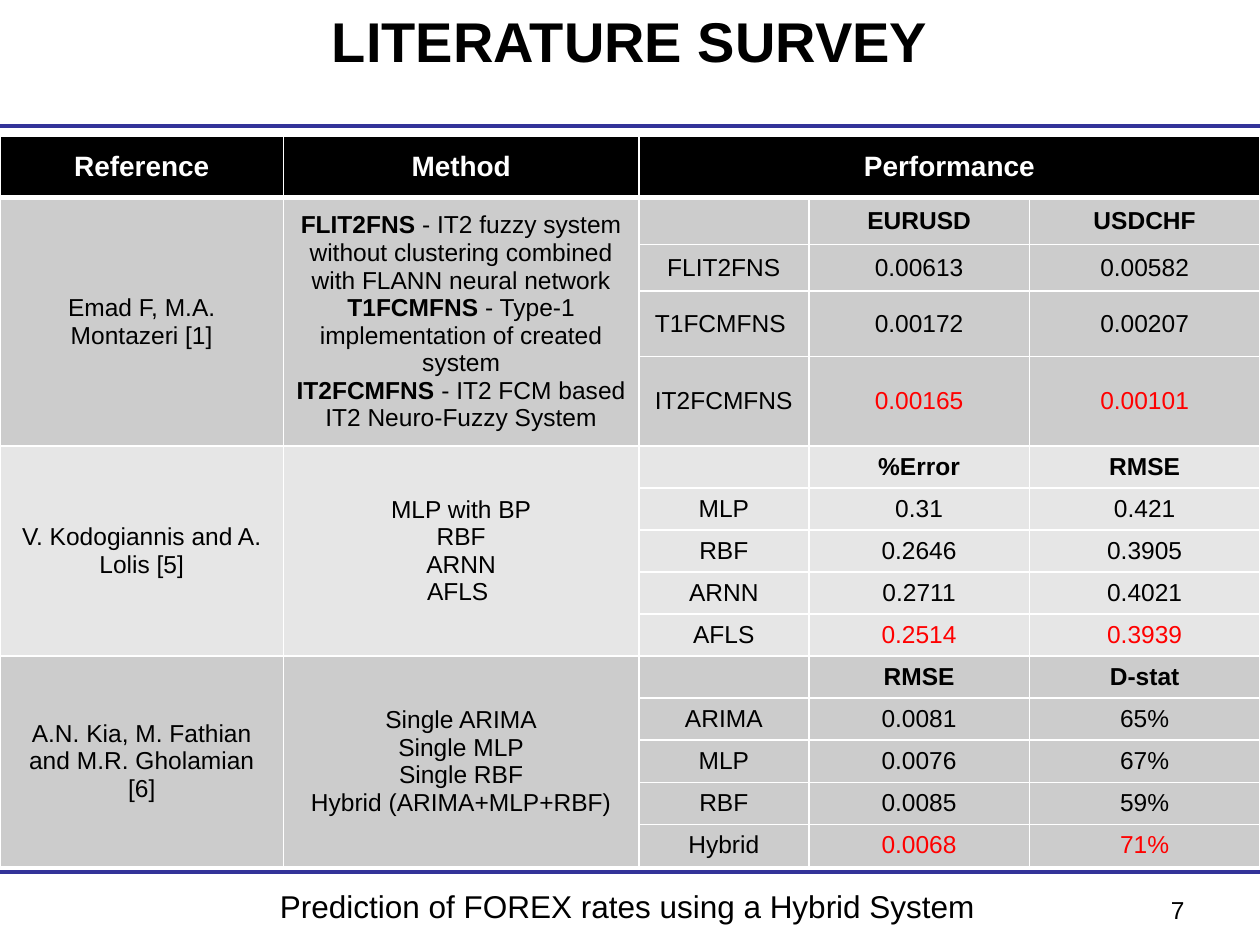
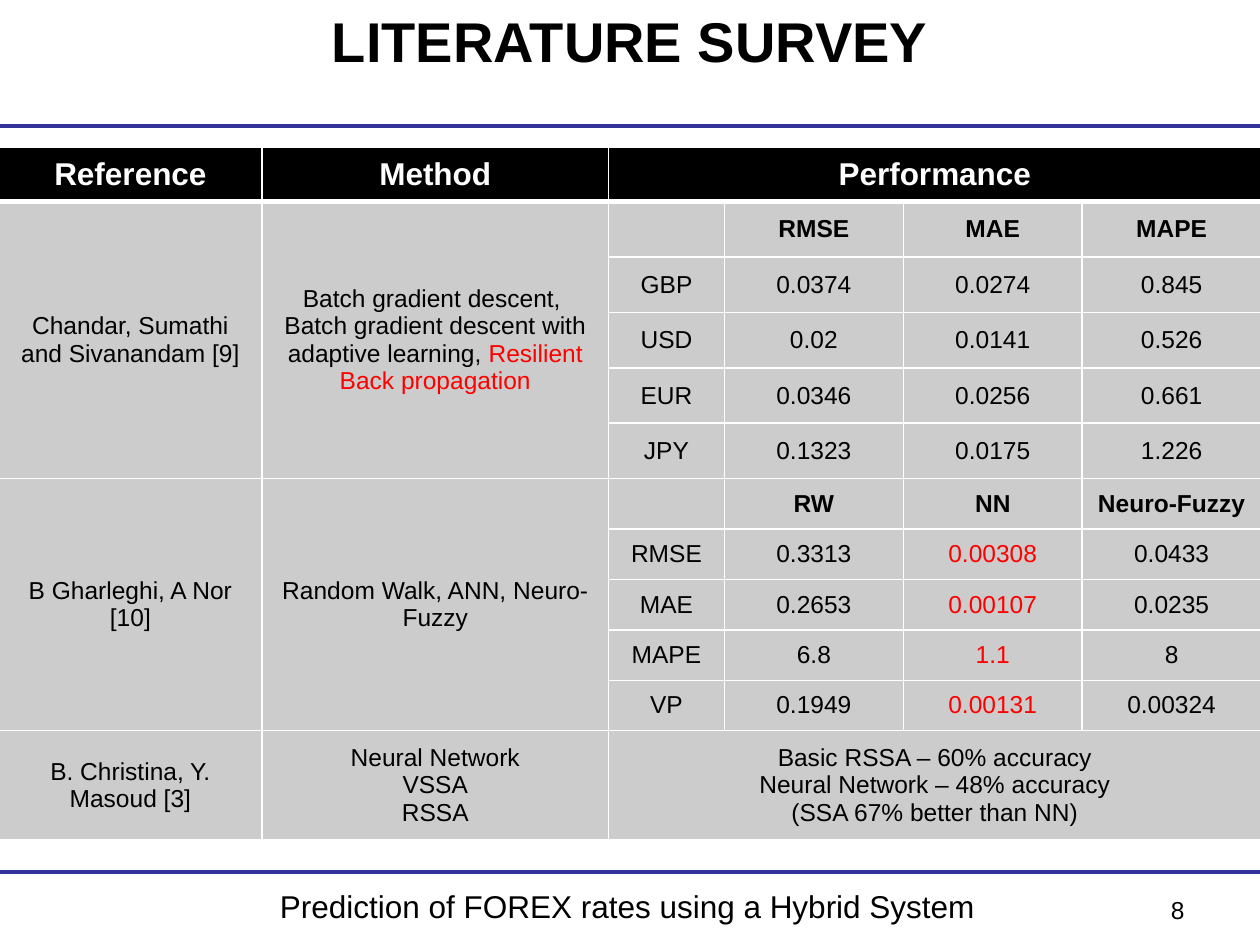
from dataclasses import dataclass

from lxml import etree
from pptx import Presentation
from pptx.dml.color import RGBColor
from pptx.enum.shapes import MSO_CONNECTOR
from pptx.enum.text import MSO_ANCHOR, PP_ALIGN
from pptx.oxml.ns import qn
from pptx.util import Inches, Pt

STRAIGHT = MSO_CONNECTOR.STRAIGHT
TOP, MIDDLE = MSO_ANCHOR.TOP, MSO_ANCHOR.MIDDLE
CENTER, RIGHT = PP_ALIGN.CENTER, PP_ALIGN.RIGHT

SLIDE_WIDTH, SLIDE_HEIGHT = 10, 7.5
FONT = "Arial"
BLACK, WHITE, RED, RULE = "000000", "FFFFFF", "FF0000", "333399"
DARK_BAND, LIGHT_BAND = "CCCCCC", "E6E6E6"
RULE_HEIGHTS = (1, 6.92)
BODY_SIZE = 14
HEADINGS = ("Reference", "Method", "Performance")
PERFORMANCE_COLUMN = 2


@dataclass
class Study:
    reference: str
    method: object
    performance: list
    fill: str = DARK_BAND
    best_row: int = None
    best_column: int = None


def color_of(hex_string):
    return RGBColor.from_string(hex_string)


def bold(text):
    return text, {"bold": True}


def red(text):
    return text, {"color": RED}


def as_paragraphs(content):
    if isinstance(content, str):
        return [[line] for line in content.split("\n")]
    return content


def write_text(frame, content, size=BODY_SIZE, color=BLACK, bold=False, align=CENTER):
    frame.word_wrap = True
    for index, runs in enumerate(as_paragraphs(content)):
        paragraph = frame.add_paragraph() if index else frame.paragraphs[0]
        paragraph.alignment = align
        for item in runs:
            text, changes = (item, {}) if isinstance(item, str) else item
            if text == "\n":
                paragraph.add_line_break()
                continue
            if not text:
                continue
            look = {"color": color, "bold": bold, **changes}
            run = paragraph.add_run()
            run.text = text
            run.font.name = FONT
            run.font.size = Pt(size)
            run.font.bold = look["bold"]
            run.font.color.rgb = color_of(look["color"])
        ending = etree.SubElement(paragraph._p, qn("a:endParaRPr"), sz=str(size * 100))
        etree.SubElement(ending, qn("a:latin"), typeface=FONT)


def add_text(slide, text, left, top, width, height, anchor=TOP, **look):
    box = slide.shapes.add_textbox(*map(Inches, (left, top, width, height)))
    box.text_frame.vertical_anchor = anchor
    write_text(box.text_frame, text, **look)


def add_rule(slide, height):
    rule = slide.shapes.add_connector(
        STRAIGHT, 0, Inches(height), Inches(SLIDE_WIDTH), Inches(height))
    rule.line.color.rgb = color_of(RULE)
    rule.line.width = Pt(2.25)
    etree.SubElement(rule._element.spPr, qn("a:effectLst"))


def set_border(cell, side, width):
    properties = cell._tc.get_or_add_tcPr()
    line = etree.SubElement(properties, qn(f"a:ln{side}"), w=str(Pt(width)))
    fill = etree.SubElement(line, qn("a:solidFill"))
    etree.SubElement(fill, qn("a:srgbClr"), val=WHITE)


def fill_cell(cell, content, fill, top_border=1, bottom_border=1, **look):
    for side, width in zip("LRTB", (1, 1, top_border, bottom_border)):
        set_border(cell, side, width)
    cell.fill.solid()
    cell.fill.fore_color.rgb = color_of(fill)
    cell.vertical_anchor = MIDDLE
    write_text(cell.text_frame, content, **look)


def merge(table, first, last):
    if first != last:
        table.cell(*first).merge(table.cell(*last))


def fill_header(table, size):
    last_column = len(table.columns) - 1
    for column in range(last_column + 1):
        text = HEADINGS[column] if column < len(HEADINGS) else ""
        fill_cell(table.cell(0, column), text, BLACK, bottom_border=3,
                  size=size, color=WHITE, bold=True)
    merge(table, (0, PERFORMANCE_COLUMN), (0, last_column))


def fill_study(table, first_row, study):
    last_column = len(table.columns) - 1
    last_row = first_row + len(study.performance) - 1
    for offset, values in enumerate(study.performance):
        row = first_row + offset
        labels = [study.reference, study.method] if offset == 0 else ["", ""]
        contents = labels + values
        contents += [""] * (last_column + 1 - len(contents))
        for column, content in enumerate(contents):
            position = column - PERFORMANCE_COLUMN
            is_value = offset > 0 and position > 0
            is_best = is_value and (offset == study.best_row or position == study.best_column)
            is_metric = offset == 0 and position > 0
            fill_cell(table.cell(row, column), content, study.fill,
                      top_border=3 if row == 1 else 1,
                      color=RED if is_best else BLACK, bold=is_metric)
    for column in range(PERFORMANCE_COLUMN):
        merge(table, (first_row, column), (last_row, column))
    if len(study.performance[0]) == 1:
        merge(table, (first_row, PERFORMANCE_COLUMN), (last_row, last_column))
    return last_row + 1


def add_survey_table(slide, left, top, columns, rows, studies, header_size):
    frame = slide.shapes.add_table(
        len(rows), len(columns),
        *map(Inches, (left, top, sum(columns), sum(rows))))
    table = frame.table
    table.horz_banding = False
    for column, width in zip(table.columns, columns):
        column.width = Inches(width)
    for row, height in zip(table.rows, rows):
        row.height = Inches(height)
    fill_header(table, header_size)
    next_row = 1
    for study in studies:
        next_row = fill_study(table, next_row, study)


def add_survey_slide(presentation, number, **survey):
    slide = presentation.slides.add_slide(presentation.slide_layouts[6])
    for height in RULE_HEIGHTS:
        add_rule(slide, height)
    add_text(slide, "Prediction of FOREX rates using a Hybrid System",
             1.3, 6.99, 7.36, 0.45, size=18)
    add_text(slide, "LITERATURE SURVEY", 0.5, -0.03, 9, 0.7,
             anchor=MIDDLE, size=32, bold=True)
    add_text(slide, str(number), 7.17, 7.05, 2.33, 0.45, align=RIGHT)
    add_survey_table(slide, **survey)


FUZZY_METHODS = [
    [bold("FLIT2FNS"),
     " - IT2 fuzzy system without clustering combined with FLANN neural network"],
    [bold("T1FCMFNS"), " - Type-1 implementation of created system", "\n",
     bold("IT2FCMFNS"), " - IT2 FCM based IT2 Neuro-Fuzzy System"],
]

DESCENT_METHODS = [
    ["Batch gradient descent, "],
    ["Batch gradient descent with adaptive learning, ", red("Resilient Back propagation")],
]

HYBRID_STUDIES = [
    Study("Emad F, M.A. Montazeri [1]", FUZZY_METHODS, [
        ["", "EURUSD", "USDCHF"],
        ["FLIT2FNS", "0.00613", "0.00582"],
        ["T1FCMFNS ", "0.00172", "0.00207"],
        ["IT2FCMFNS", "0.00165", "0.00101"],
    ], best_row=3),
    Study("V. Kodogiannis and A. Lolis [5]", "MLP with BP\nRBF\nARNN\nAFLS ", [
        ["", "%Error", "RMSE"],
        ["MLP", "0.31", "0.421"],
        ["RBF", "0.2646", "0.3905"],
        ["ARNN", "0.2711", "0.4021"],
        ["AFLS", "0.2514", "0.3939"],
    ], fill=LIGHT_BAND, best_row=4),
    Study("A.N. Kia, M. Fathian and M.R. Gholamian [6]",
          "Single ARIMA\nSingle MLP\nSingle RBF\nHybrid (ARIMA+MLP+RBF)", [
              ["", "RMSE", "D-stat"],
              ["ARIMA", "0.0081", "65%"],
              ["MLP", "0.0076", "67%"],
              ["RBF", "0.0085", "59%"],
              ["Hybrid", "0.0068", "71%"],
          ], best_row=4),
]

NETWORK_STUDIES = [
    Study("Chandar, Sumathi and Sivanandam [9]", DESCENT_METHODS, [
        ["", "RMSE", "MAE", "MAPE"],
        ["GBP", "0.0374", "0.0274", "0.845"],
        ["USD", "0.02", "0.0141", "0.526"],
        ["EUR", "0.0346", "0.0256", "0.661"],
        ["JPY", "0.1323", "0.0175", "1.226"],
    ]),
    Study("B Gharleghi, A Nor [10]", "Random Walk, ANN, Neuro-Fuzzy", [
        ["", "RW", "NN", "Neuro-Fuzzy"],
        ["RMSE", "0.3313", "0.00308", "0.0433"],
        ["MAE", "0.2653", "0.00107", "0.0235"],
        ["MAPE", "6.8", "1.1", "8"],
        ["VP", "0.1949", "0.00131", "0.00324"],
    ], best_column=2),
    Study("B. Christina, Y. Masoud [3]", "Neural Network\nVSSA\nRSSA", [
        ["Basic RSSA – 60% accuracy\nNeural Network – 48% accuracy\n(SSA 67% better than NN)"],
    ]),
]


def main():
    presentation = Presentation()
    presentation.slide_width = Inches(SLIDE_WIDTH)
    presentation.slide_height = Inches(SLIDE_HEIGHT)
    add_survey_slide(
        presentation, 7, left=0, top=1.08, header_size=16, studies=HYBRID_STUDIES,
        columns=[2.25, 2.82, 1.35, 1.75, 1.83],
        rows=[0.49, 0.37, 0.37, 0.52, 0.52] + [0.3] * 10)
    add_survey_slide(
        presentation, 8, left=-0.01, top=1.17, header_size=18, studies=NETWORK_STUDIES,
        columns=[2.09, 2.75, 0.92] + [1.42] * 3,
        rows=[0.43] + [0.44] * 5 + [0.4] * 5 + [0.87])
    presentation.save("out.pptx")


if __name__ == "__main__":
    main()
